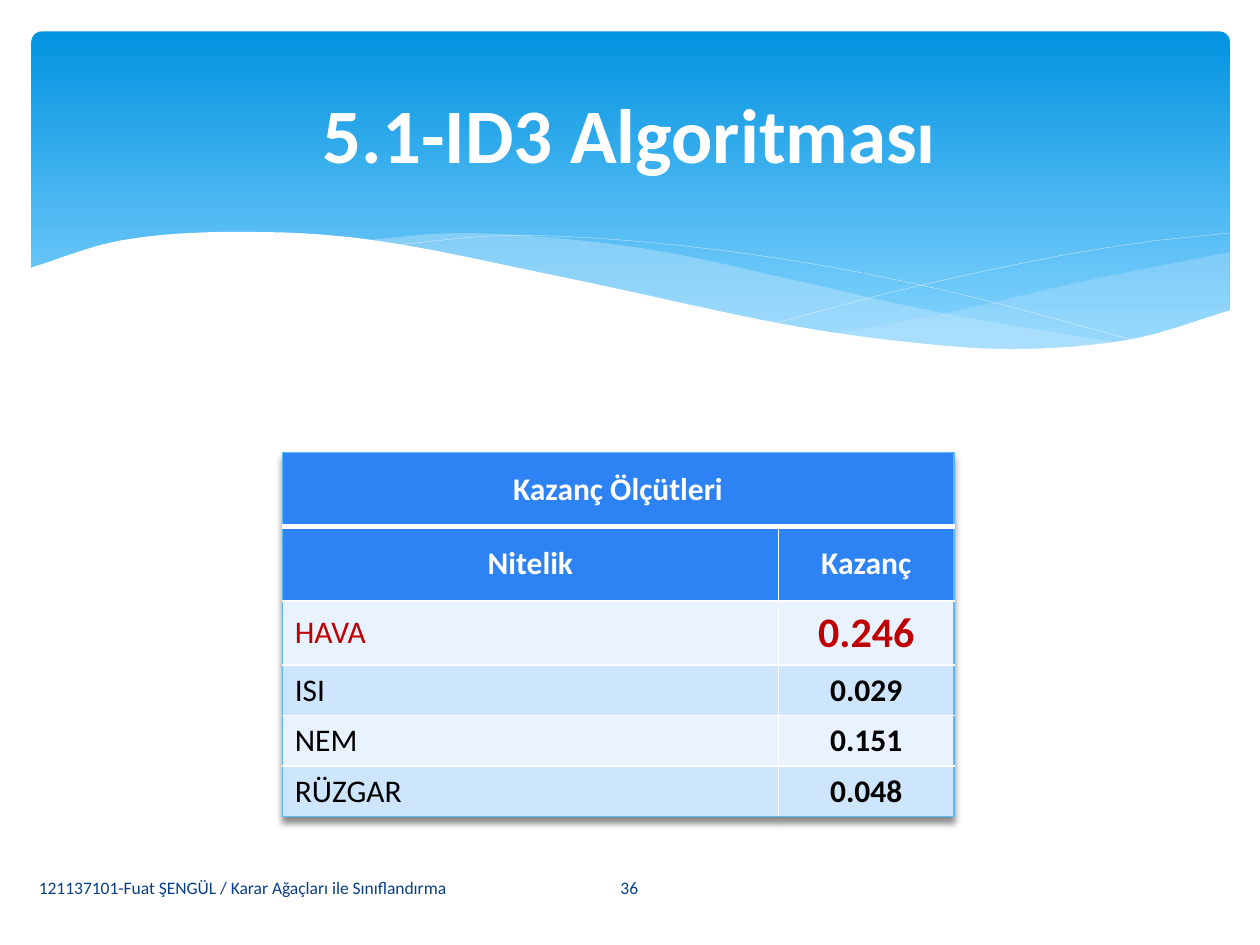
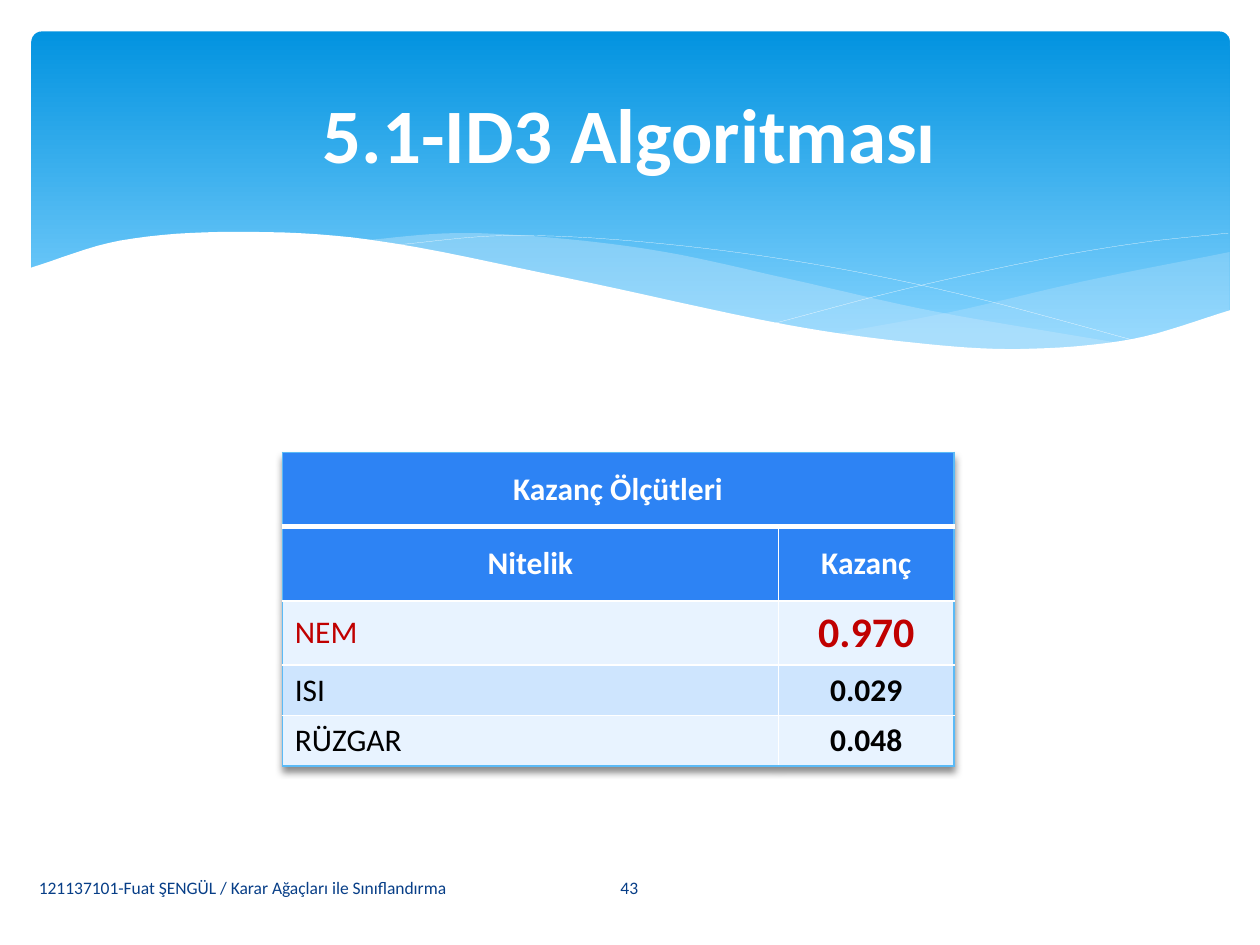
"""Build two ID3 slides with gain tables under a shared wave band."""
import pptx
import pptx.dml.color
import pptx.enum.shapes
import pptx.enum.text
import pptx.oxml
import pptx.oxml.ns
import pptx.util
from lxml import etree

Inches = pptx.util.Inches
Pt = pptx.util.Pt
ALIGN = pptx.enum.text.PP_ALIGN
MIDDLE = pptx.enum.text.MSO_ANCHOR.MIDDLE
TOP = pptx.enum.text.MSO_ANCHOR.TOP

TITLE = "5.1-ID3 Algoritması"
FOOTER = "121137101-Fuat ŞENGÜL / Karar Ağaçları ile Sınıflandırma"
HEADS = [("Kazanç Ölçütleri", ""), ("Nitelik", "Kazanç")]
SLIDES = [
    ("36", [("HAVA", "0.246"), ("ISI", "0.029"), ("NEM", "0.151"), ("RÜZGAR", "0.048")]),
    ("43", [("NEM", "0.970"), ("ISI", "0.029"), ("RÜZGAR", "0.048")]),
]

FONT = "Calibri"
WHITE, BLACK, RED, NAVY = "FFFFFF", "000000", "C00000", "073E87"
HEAD, EDGE, MIST = "2D83F4", "5BBAF6", "C6E7FC"
BANDS = ["E8F3FF", "CEE5FE"]
SKY = [(0, "0293E0"), (0.9, "83D3FE")]

SKY_BOX = (0.25, 0.25, 9.51, 2.7)
TITLE_BOX = (0.5, 0.37, 9, 1.37)
FOOTER_BOX = (0.21, 6.84, 4.14, 0.4)
NUMBER_BOX = (4.36, 6.84, 1.27, 0.4)
TABLE_LEFT, TABLE_TOP = 2.24, 3.59
WIDES = [3.94, 1.39]
HEAD_HIGH, BEST_HIGH, ROW_HIGH = 0.59, 0.51, 0.4

STEPS = 8
RIGHT = {
    "upper": [(6.61, 2.65), (7.53, 2.48), (8.61, 2.23), (9.76, 2)],
    "lower": [(6.61, 2.65), (7.32, 2.74), (8.03, 2.78), (8.63, 2.75), (9.21, 2.65),
              (9.76, 2.47)],
}
LONG = {
    "upper": [(2.86, 1.91), (3.61, 1.85), (4.42, 1.89), (5.28, 2), (6.29, 2.22),
              (7.41, 2.47), (8.93, 2.73)],
    "lower": [(2.86, 1.91), (4.49, 2.22), (5.66, 2.48), (6.65, 2.66), (7.48, 2.76),
              (8.18, 2.78), (8.93, 2.73)],
}
HILL = {
    "upper": [(0.23, 2.13), (0.95, 1.91), (1.85, 1.84), (2.92, 1.9), (4.47, 2.2),
              (6.26, 2.58), (7.26, 2.72), (8.09, 2.77), (8.99, 2.69), (9.77, 2.46)],
    "lower": [(0.23, 3.29), (9.77, 3.29)],
}
FALL = [(3.09, 1.95), (4.01, 1.87), (5.1, 1.92), (6.36, 2.08), (7.6, 2.33), (9.07, 2.72)]
RISE = [(6.13, 2.57), (7.2, 2.29), (8.36, 2.04), (9.1, 1.92), (9.75, 1.85)]


def rgb(code):
    return pptx.dml.color.RGBColor.from_string(code)


def paint(fill, code, alpha=100):
    fill.solid()
    fill.fore_color.rgb = rgb(code)
    if alpha < 100:
        tag = fill._xPr.find(".//" + pptx.oxml.ns.qn("a:srgbClr"))
        etree.SubElement(tag, pptx.oxml.ns.qn("a:alpha")).set("val", str(alpha * 1000))


def write(frame, text, size, code, bold=False, align=ALIGN.LEFT):
    para = frame.paragraphs[0]
    para.alignment = align
    run = para.add_run()
    run.text = text
    font = run.font
    font.name, font.size, font.bold = FONT, Pt(size), bold
    font.color.rgb = rgb(code)


def label(slide, box, *style):
    frame = slide.shapes.add_textbox(*map(Inches, box)).text_frame
    frame.word_wrap = True
    frame.vertical_anchor = MIDDLE
    write(frame, *style)


def slope(knots, i):
    (x0, y0), (x1, y1) = knots[max(i - 1, 0)], knots[min(i + 1, len(knots) - 1)]
    return (y1 - y0) / (x1 - x0)


def curve(knots):
    points = [knots[0]]
    for i, ((x0, y0), (x1, y1)) in enumerate(zip(knots, knots[1:])):
        wide, rise = x1 - x0, y1 - y0
        start, end = slope(knots, i) * wide, slope(knots, i + 1) * wide
        for step in range(1, STEPS + 1):
            t = step / STEPS
            ease = t * t * (3 - 2 * t)
            bend = t * (1 - t) * (start * (1 - t) - end * t)
            points.append((x0 + t * wide, y0 + ease * rise + bend))
    return points


def outline(slide, points, close):
    grid = [(round(x * 1000), round(y * 1000)) for x, y in points]
    pen = slide.shapes.build_freeform(*grid[0], scale=Inches(1) / 1000)
    pen.add_line_segments(grid[1:], close=close)
    shape = pen.convert_to_shape()
    shape.shadow.inherit = False
    return shape


def wave(slide, sides, code, alpha=100):
    points = curve(sides["upper"]) + curve(sides["lower"])[::-1]
    shape = outline(slide, points, True)
    paint(shape.fill, code, alpha)
    shape.line.fill.background()


def thread(slide, knots):
    shape = outline(slide, curve(knots), False)
    shape.fill.background()
    shape.line.color.rgb = rgb(WHITE)
    shape.line.width = Pt(0.1)


def banner(slide):
    kind = pptx.enum.shapes.MSO_SHAPE.ROUNDED_RECTANGLE
    sky = slide.shapes.add_shape(kind, *map(Inches, SKY_BOX))
    sky.adjustments[0] = 0.03
    sky.shadow.inherit = False
    sky.line.fill.background()
    sky.fill.gradient()
    sky.fill.gradient_angle = 270
    for stop, (place, code) in zip(sky.fill.gradient_stops, SKY):
        stop.position = place
        stop.color.rgb = rgb(code)
    wave(slide, RIGHT, MIST, 29)
    wave(slide, LONG, MIST, 40)
    thread(slide, FALL)
    thread(slide, RISE)
    wave(slide, HILL, WHITE)


def border(cell, edges):
    props = cell._tc.get_or_add_tcPr()
    for i, (side, code, width) in enumerate(edges):
        props.insert(i, pptx.oxml.parse_xml(
            f'<a:ln{side} {pptx.oxml.ns.nsdecls("a")} w="{Pt(width)}">'
            f'<a:solidFill><a:srgbClr val="{code}"/></a:solidFill></a:ln{side}>'))


def shade(table):
    table._tbl.tblPr.insert(0, pptx.oxml.parse_xml(
        f'<a:effectLst {pptx.oxml.ns.nsdecls("a")}>'
        '<a:outerShdw blurRad="50800" dist="38100" dir="5400000" rotWithShape="0">'
        '<a:srgbClr val="000000"><a:alpha val="45000"/></a:srgbClr>'
        '</a:outerShdw></a:effectLst>'))


def frame_cell(cell, r, c, last):
    border(cell, [
        ("L", EDGE if c == 0 else WHITE, 1),
        ("R", EDGE if c == 1 or r == 0 else WHITE, 1),
        ("T", EDGE if r == 0 else WHITE, 3 if r == 1 else 1),
        ("B", EDGE if r == last else WHITE, 3 if r == 0 else 1),
    ])


def fill_cell(cell, text, r, c):
    head, best, value = r < len(HEADS), r == len(HEADS), c == 1
    paint(cell.fill, HEAD if head else BANDS[r % 2])
    cell.vertical_anchor = TOP if value and not head else MIDDLE
    if text:
        size = 24 if best and value else 18
        code = WHITE if head else RED if best else BLACK
        strong = head or value
        write(cell.text_frame, text, size, code, strong,
              ALIGN.CENTER if strong else ALIGN.LEFT)


def gains(slide, data):
    rows = HEADS + data
    highs = [HEAD_HIGH] * len(HEADS) + [BEST_HIGH] + [ROW_HIGH] * (len(data) - 1)
    box = (TABLE_LEFT, TABLE_TOP, sum(WIDES), sum(highs))
    table = slide.shapes.add_table(len(rows), len(WIDES), *map(Inches, box)).table
    shade(table)
    for col, wide in zip(table.columns, WIDES):
        col.width = Inches(wide)
    for row, high in zip(table.rows, highs):
        row.height = Inches(high)
    table.cell(0, 0).merge(table.cell(0, 1))
    for r, texts in enumerate(rows):
        for c, text in enumerate(texts):
            cell = table.cell(r, c)
            fill_cell(cell, text, r, c)
            frame_cell(cell, r, c, len(rows) - 1)


def main():
    deck = pptx.Presentation()
    deck.slide_width, deck.slide_height = Inches(10), Inches(7.5)
    for number, data in SLIDES:
        slide = deck.slides.add_slide(deck.slide_layouts[6])
        banner(slide)
        label(slide, FOOTER_BOX, FOOTER, 10, NAVY)
        label(slide, NUMBER_BOX, number, 10, NAVY, False, ALIGN.CENTER)
        label(slide, TITLE_BOX, TITLE, 44, WHITE, True, ALIGN.CENTER)
        gains(slide, data)
    deck.save("out.pptx")


if __name__ == "__main__":
    main()
